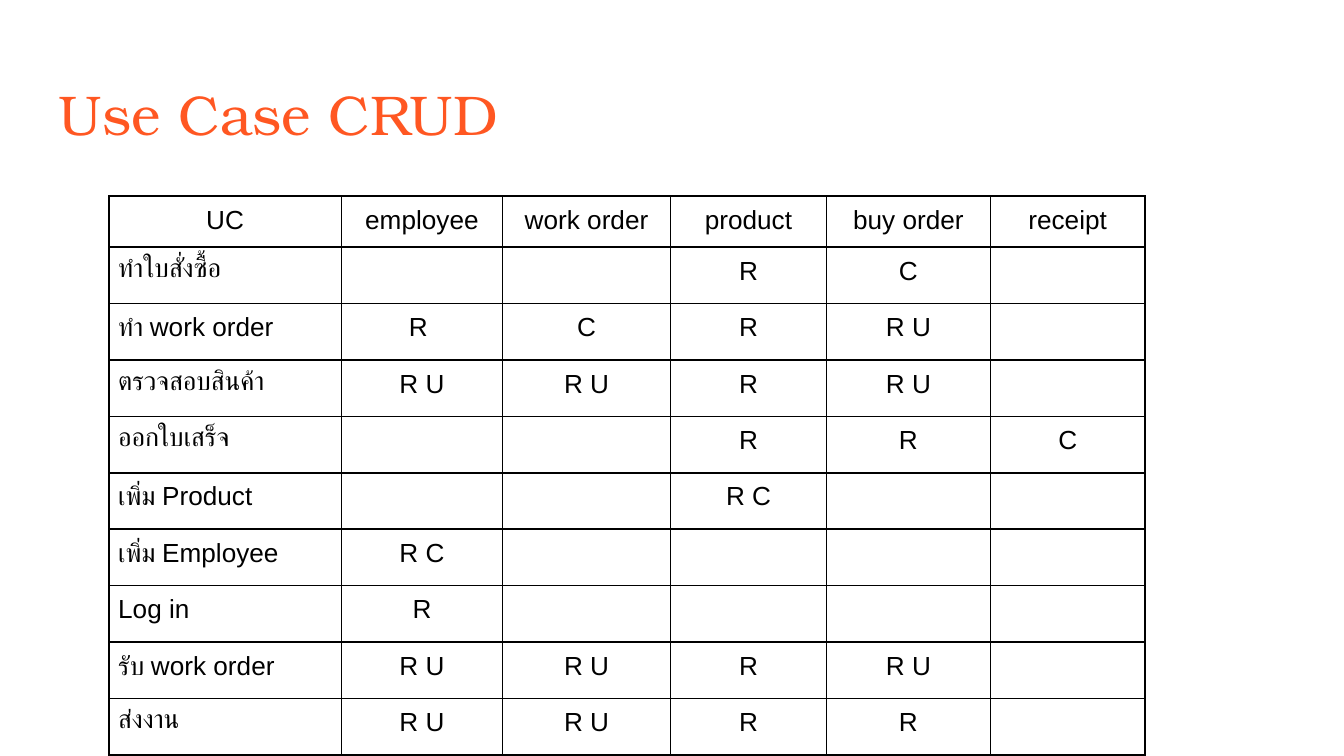
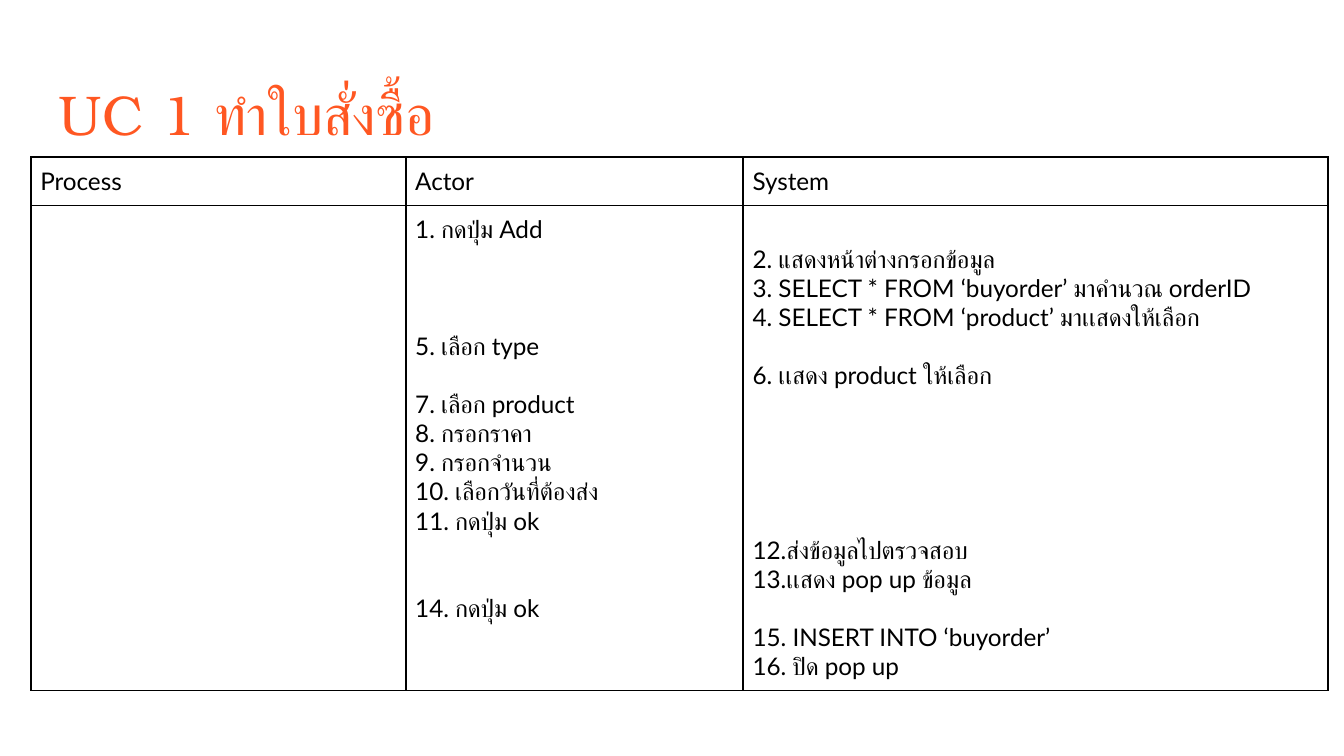
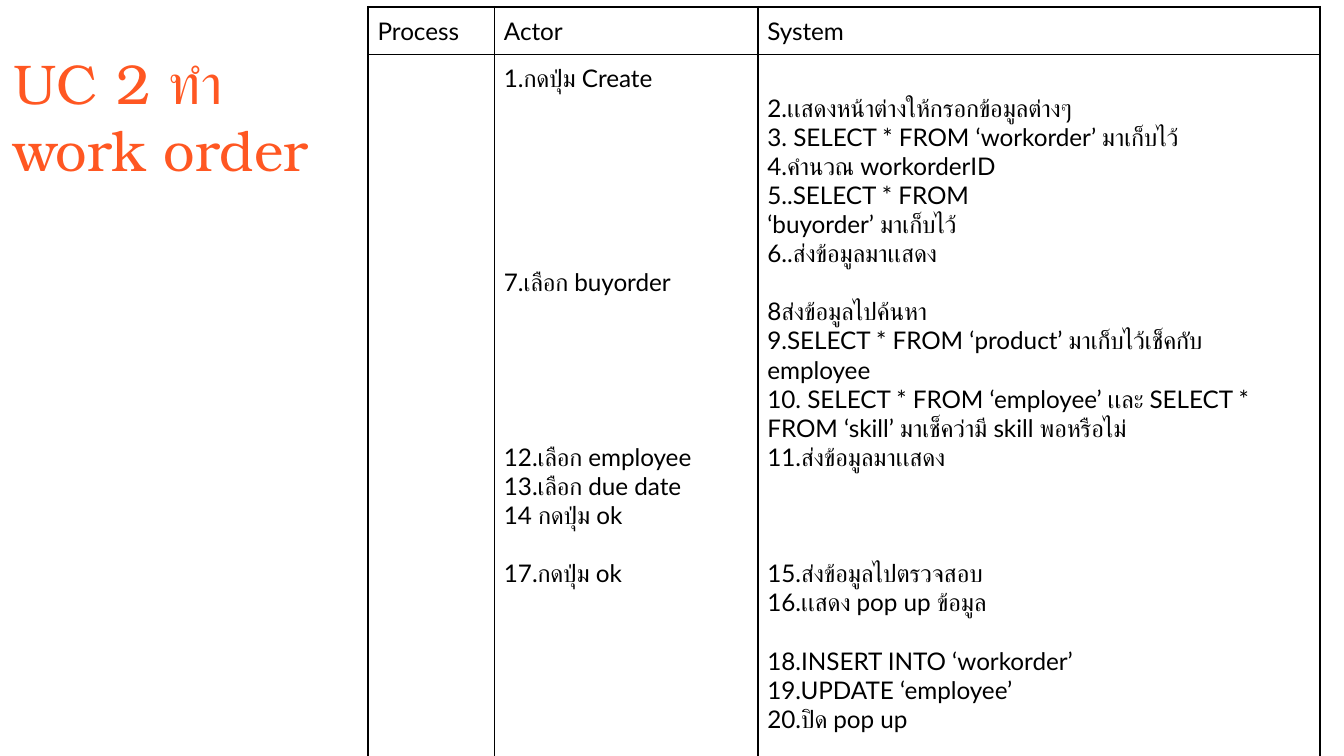
import dataclasses
import pptx
import pptx.util
import pptx.dml.color
import pptx.enum.text
import lxml.etree

Inches = pptx.util.Inches
Pt = pptx.util.Pt
Align = pptx.enum.text.PP_ALIGN
NS = "{http://schemas.openxmlformats.org/drawingml/2006/main}"


@dataclasses.dataclass(frozen=True)
class Theme:
    accent: str = "FF5722"
    ink: str = "000000"
    serif: str = "TeX Gyre Bonum"
    sans: str = "Arial"
    body: str = "Lato"
    head: int = 30
    grid: int = 14
    step: int = 13
    pitch: float = 15.6
    pad: float = 0.07
    rule: int = 1


THEME = Theme()

CRUD = [
    ("UC", "employee", "work order", "product", "buy order", "receipt"),
    ("ทำใบสั่งซื้อ", "", "", "R", "C", ""),
    ("ทำ work order", "R ", "C", "R", "R U", ""),
    ("ตรวจสอบสินค้า", "R U", "R U", "R", "R U", ""),
    ("ออกใบเสร็จ", "", "", "R", "R", "C"),
    ("เพิ่ม Product", "", "", "R C", "", ""),
    ("เพิ่ม Employee", "R C", "", "", "", ""),
    ("Log in", "R", "", "", "", ""),
    ("รับ work order", "R U", "R U", "R", "R U", ""),
    ("ส่งงาน", "R U", "R U", "R", "R", ""),
]

BUY_ACTOR = [
    "1. กดปุ่ม Add", 3,
    "5. เลือก type", 1,
    "7. เลือก product",
    "8. กรอกราคา",
    "9. กรอกจำนวน",
    "10. เลือกวันที่ต้องส่ง",
    "11. กดปุ่ม ok", 2,
    "14. กดปุ่ม ok",
]
BUY_SYSTEM = [
    1, "2. แสดงหน้าต่างกรอกข้อมูล",
    "3. SELECT * FROM ‘buyorder’ มาคำนวณ orderID",
    "4. SELECT * FROM ‘product’ มาเเสดงให้เลือก", 1,
    "6. เเสดง product ให้เลือก", 5,
    "12.ส่งข้อมูลไปตรวจสอบ",
    "13.เเสดง pop up ข้อมูล", 1,
    "15. INSERT INTO ‘buyorder’",
    "16. ปิด pop up",
]
WORK_ACTOR = [
    "1.กดปุ่ม Create", 6,
    "7.เลือก buyorder", 5,
    "12.เลือก employee",
    "13.เลือก due date",
    "14 กดปุ่ม ok", 1,
    "17.กดปุ่ม ok",
]
WORK_SYSTEM = [
    1, "2.เเสดงหน้าต่างให้กรอกข้อมูลต่างๆ",
    "3. SELECT * FROM ‘workorder’ มาเก็บไว้",
    "4.คำนวณ workorderID",
    "5..SELECT * FROM",
    "‘buyorder’ มาเก็บไว้",
    "6..ส่งข้อมูลมาเเสดง", 1,
    "8ส่งข้อมูลไปค้นหา",
    "9.SELECT * FROM ‘product’ มาเก็บไว้เช็คกับ employee",
    "10. SELECT * FROM ‘employee’ เเละ SELECT * FROM ‘skill’ มาเช็คว่ามี skill พอหรือไม่",
    "11.ส่งข้อมูลมาเเสดง", 3,
    "15.ส่งข้อมูลไปตรวจสอบ",
    "16.เเสดง pop up ข้อมูล", 1,
    "18.INSERT INTO ‘workorder’",
    "19.UPDATE ‘employee’",
    "20.ปิด pop up",
]


def add_run(para, text, font, size, color):
    run = para.add_run()
    run.text = text
    run.font.name = font
    run.font.size = Pt(size)
    run.font.color.rgb = pptx.dml.color.RGBColor.from_string(color)


def add_title(slide, box, lines):
    frame = slide.shapes.add_textbox(*map(Inches, box)).text_frame
    frame.word_wrap = True
    for side in ("left", "right", "top", "bottom"):
        setattr(frame, "margin_" + side, Inches(0.1))
    for i, line in enumerate(lines):
        para = frame.add_paragraph() if i else frame.paragraphs[0]
        add_run(para, line, THEME.serif, THEME.head, THEME.accent)


def style_cell(cell):
    for side in ("left", "right", "top", "bottom"):
        setattr(cell, "margin_" + side, Inches(THEME.pad))
    cell.fill.background()
    props = cell._tc.get_or_add_tcPr()
    for i, side in enumerate("LRTB"):
        line = lxml.etree.Element(NS + "ln" + side, w=str(Pt(THEME.rule)))
        fill = lxml.etree.SubElement(line, NS + "solidFill")
        lxml.etree.SubElement(fill, NS + "srgbClr", val=THEME.ink)
        props.insert(i, line)


def fill_cell(cell, items, font, size, align):
    frame = cell.text_frame
    gap, first = 0, True
    for item in items:
        if isinstance(item, int):
            gap = item
            continue
        para = frame.paragraphs[0] if first else frame.add_paragraph()
        if first:
            cell.margin_top = Inches(THEME.pad) + Pt(gap * THEME.pitch)
        elif gap:
            para.space_before = Pt(gap * THEME.pitch)
        para.alignment = align
        add_run(para, item, font, size, THEME.ink)
        gap, first = 0, False
    if first:
        lxml.etree.SubElement(
            frame.paragraphs[0]._p, NS + "endParaRPr", sz=str(size * 100))


def add_grid(slide, left, top, cols, rows):
    table = slide.shapes.add_table(
        len(rows), len(cols), Inches(left), Inches(top),
        Inches(sum(cols)), Inches(sum(rows))).table
    table.first_row = table.horz_banding = False
    for col, width in zip(table.columns, cols):
        col.width = Inches(width)
    for row, height in zip(table.rows, rows):
        row.height = Inches(height)
    for cell in table.iter_cells():
        style_cell(cell)
    return table


def crud_slide(slide, box):
    add_title(slide, box, ["Use Case CRUD"])
    cols = [1.73, 1.2, 1.25, 1.16, 1.22, 1.15]
    rows = [0.38] + [0.42] * (len(CRUD) - 1)
    table = add_grid(slide, box[0] + 0.47, box[1] + 0.97, cols, rows)
    for r, row in enumerate(CRUD):
        for c, text in enumerate(row):
            align = Align.LEFT if r and not c else Align.CENTER
            fill_cell(table.cell(r, c), [text] if text else [],
                      THEME.sans, THEME.grid, align)


def flow_slide(slide, box, lines, place, cols, rows, actor, system):
    add_title(slide, box, lines)
    table = add_grid(slide, *place, cols, rows)
    last = len(cols) - 1
    parts = {0: (["Process"], []), 1: (["Actor"], actor),
             last: (["System"], system)}
    for r in range(len(rows)):
        if last > 2:
            table.cell(r, 1).merge(table.cell(r, last - 1))
        for c, part in parts.items():
            fill_cell(table.cell(r, c), part[r],
                      THEME.body, THEME.step, Align.LEFT)


def main():
    deck = pptx.Presentation()
    deck.slide_width = Inches(10)
    deck.slide_height = deck.slide_width * 9 // 16
    blank = deck.slide_layouts[6]
    band = (0.34, 0.49, 9.32, 0.63)
    crud_slide(deck.slides.add_slide(blank), band)
    flow_slide(deck.slides.add_slide(blank), band, ["UC 1 ทำใบสั่งซื้อ"],
               (0.23, 1.17), [2.79, 2.51, 4.35], [0.36, 3.6],
               BUY_ACTOR, BUY_SYSTEM)
    flow_slide(deck.slides.add_slide(blank), (0, 0.26, 4.67, 0.77),
               ["UC 2 ทำ", "work order"],
               (2.74, 0.05), [0.94, 1.53, 0.43, 4.18], [0.35, 5.3],
               WORK_ACTOR, WORK_SYSTEM)
    deck.save("out.pptx")


if __name__ == "__main__":
    main()
